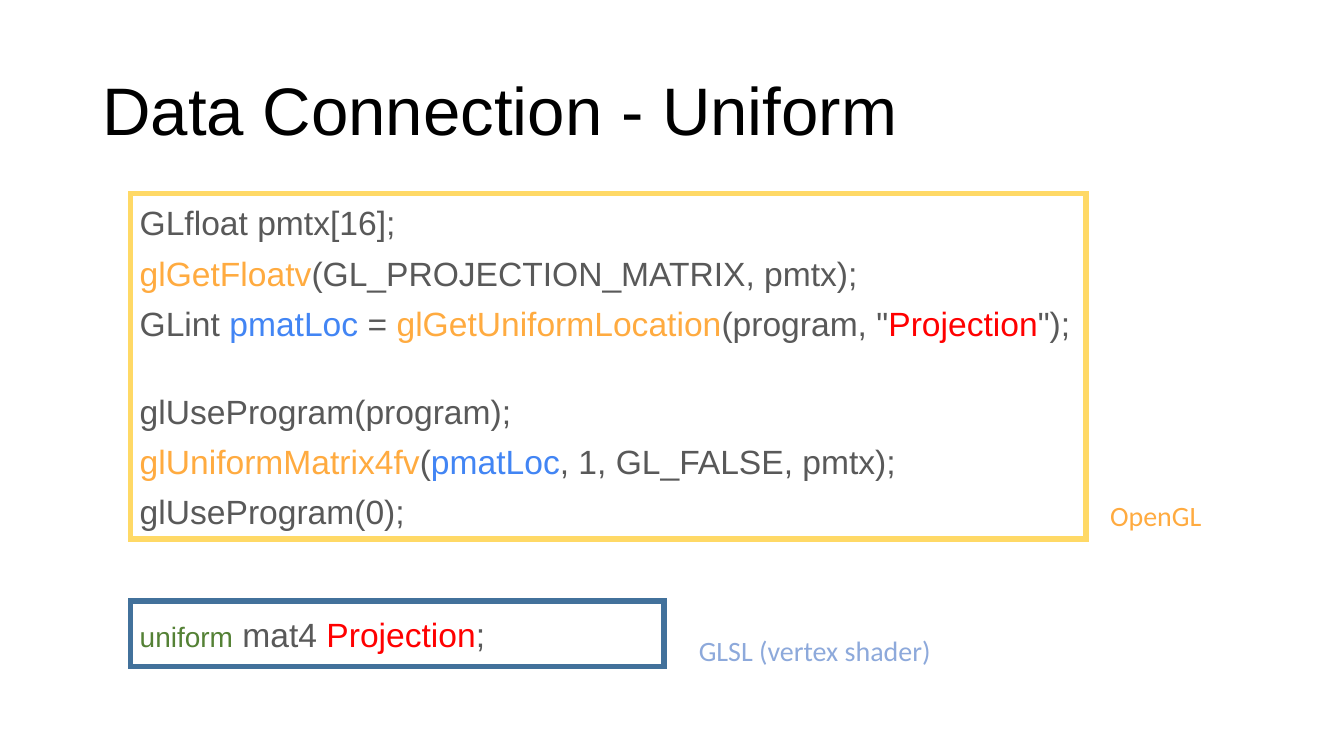
"""Build a slide on passing a uniform from OpenGL code to a GLSL vertex shader."""
from lxml import etree
from pptx import Presentation
from pptx import util as u
from pptx.dml.color import RGBColor
from pptx.enum import shapes, text
from pptx.oxml import ns

WIDTH = 10
HEIGHT = WIDTH * 9 / 16
LEFT = 0.97
COLORS = {
    "title": "000000", "plain": "595959", "call": "FFAB40", "location": "4285F4",
    "name": "FF0000", "keyword": "548135", "shader": "8DA9DB",
    "opengl_frame": "FFD966", "shader_frame": "42719B",
}
SIZES = {"title": 36, "keyword": 15}
CODE_SIZE, LABEL_SIZE = 18, 15
LINE_GAP, BLOCK_GAP, SHADER_GAP = 7.5, 27.5, 46.5

TITLE = [(0, [("Data Connection - Uniform", "title")])]
CODE = [
    (0, [("GLfloat pmtx[16];", "plain")]),
    (LINE_GAP, [("glGetFloatv", "call"), ("(GL_PROJECTION_MATRIX, pmtx);", "plain")]),
    (LINE_GAP, [("GLint ", "plain"), ("pmatLoc", "location"), (" = ", "plain"),
                ("glGetUniformLocation", "call"), ('(program, "', "plain"),
                ("Projection", "name"), ('");', "plain")]),
    (BLOCK_GAP, [("glUseProgram(program);", "plain")]),
    (LINE_GAP, [("glUniformMatrix4fv", "call"), ("(", "plain"),
                ("pmatLoc", "location"), (", 1, GL_FALSE, pmtx);", "plain")]),
    (LINE_GAP, [("glUseProgram(0);", "plain")]),
    (SHADER_GAP, [("uniform", "keyword"), (" mat4 ", "plain"),
                  ("Projection", "name"), (";", "plain")]),
]
FRAMES = [
    ((LEFT, 1.44, 7.11, 2.57), "opengl_frame"),
    ((LEFT, 4.47, 3.97, 0.49), "shader_frame"),
]
LABELS = [
    ((8.19, 3.7, 1.3, 0.43), [(0, [("OpenGL", "call")])]),
    ((5.13, 4.7, 2.03, 0.43), [(0, [("GLSL (vertex shader)", "shader")])]),
]


def color(role):
    return RGBColor.from_string(COLORS[role])


def add_frame(slide, place, role):
    frame = slide.shapes.add_shape(shapes.MSO_SHAPE.RECTANGLE, *map(u.Inches, place))
    frame.shadow.inherit = False
    frame.fill.background()
    frame.line.color.rgb = color(role)
    frame.line.width = u.Pt(3)
    outline = frame.element.spPr.find(ns.qn("a:ln"))
    etree.SubElement(outline, ns.qn("a:miter"), lim="800000")


def add_lines(slide, place, lines, font, size, anchor=text.MSO_ANCHOR.TOP):
    body = slide.shapes.add_textbox(*map(u.Inches, place)).text_frame
    body.word_wrap = True
    body.vertical_anchor = anchor
    body.margin_left = body.margin_right = u.Inches(0.07)
    body.margin_top = body.margin_bottom = u.Inches(0.04)
    body.text = "\n".join("".join(words for words, _ in parts) for _, parts in lines)
    for paragraph, (gap, parts) in zip(body.paragraphs, lines):
        paragraph.line_spacing = 0.9
        paragraph.space_before = u.Pt(gap)
        paragraph.runs[0].text = parts[0][0]
        for words, _ in parts[1:]:
            paragraph.add_run().text = words
        for run, (_, role) in zip(paragraph.runs, parts):
            run.font.name = font
            run.font.size = u.Pt(SIZES.get(role, size))
            run.font.color.rgb = color(role)


def main():
    deck = Presentation()
    deck.slide_width, deck.slide_height = u.Inches(WIDTH), u.Inches(HEIGHT)
    slide = deck.slides.add_slide(deck.slide_layouts[6])
    for place, role in FRAMES:
        add_frame(slide, place, role)
    add_lines(slide, (0.69, 0.3, 8.62, 1.09), TITLE, "Arial", CODE_SIZE,
              text.MSO_ANCHOR.MIDDLE)
    add_lines(slide, (LEFT, 1.5, 8.53, 3.57), CODE, "Arial", CODE_SIZE)
    for place, lines in LABELS:
        add_lines(slide, place, lines, "Calibri", LABEL_SIZE)
    deck.save("out.pptx")


if __name__ == "__main__":
    main()
